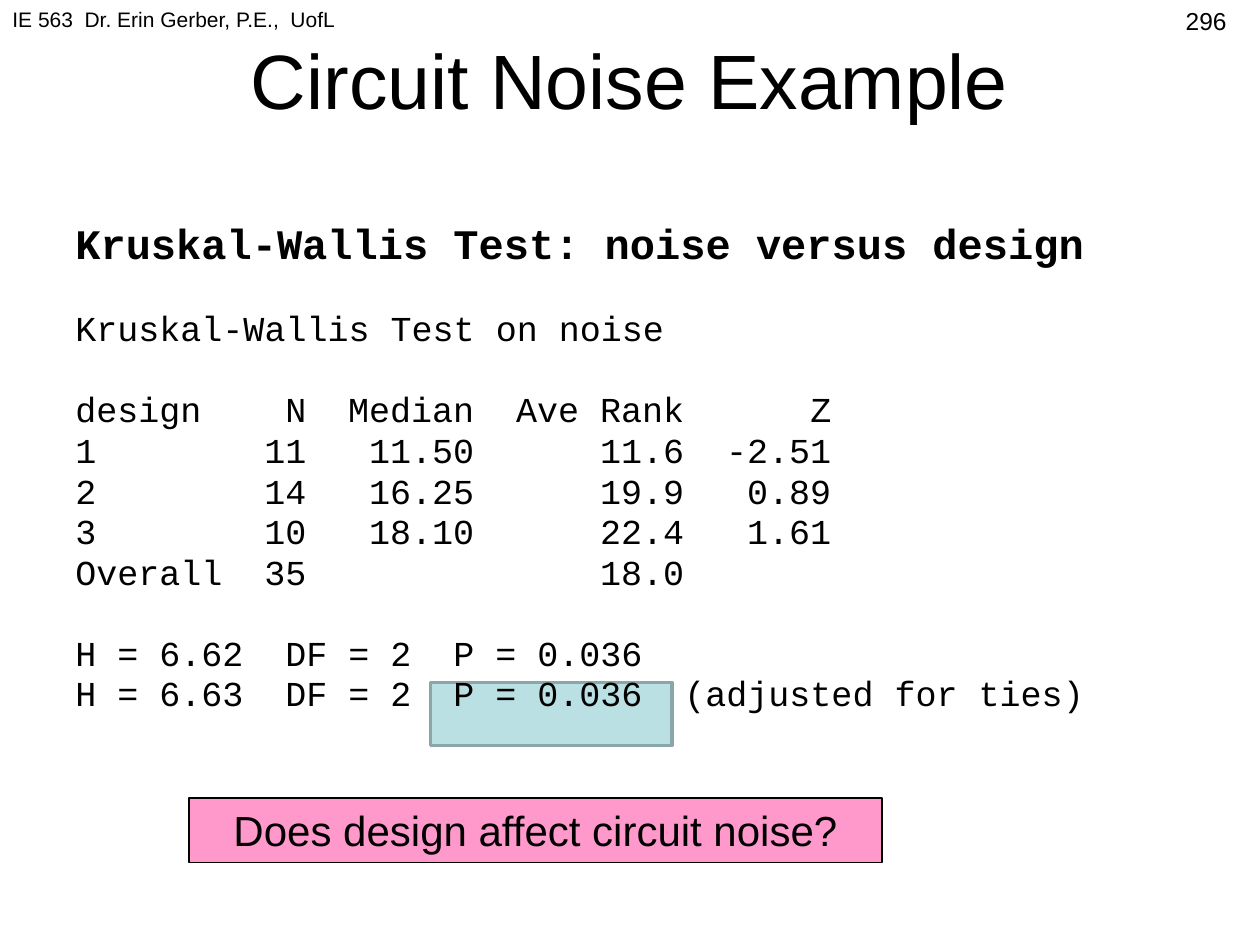
from pptx import Presentation, util as u
from pptx.dml import color
from pptx.enum import shapes, text
from pptx.oxml import ns
from lxml import etree

Pt = u.Pt
MONO = "Courier New"
CHAR = 12  # advance of one 20 pt monospaced letter
GAP = 4
BREAK = 27

# Tab stops as (alignment, character column)
GRID = [("r", 11), ("r", 19), ("r", 29), ("r", 36)]
STATS = [("l", 10), ("l", 18), ("l", 29)]

ROWS = [
    ("design", "N", "Median", "Ave Rank", "Z"),
    ("1", "11", "11.50", "11.6", "-2.51"),
    ("2", "14", "16.25", "19.9", "0.89"),
    ("3", "10", "18.10", "22.4", "1.61"),
    ("Overall", "35", "", "18.0"),
]
TESTS = [
    ("H = 6.62", "DF = 2", "P = 0.036"),
    ("H = 6.63", "DF = 2", "P = 0.036", "(adjusted for ties)"),
]


def rgb(code):
    return color.RGBColor.from_string(code)


class Page:
    font = "Arial"
    ink = "000000"

    def __init__(self, slide):
        self.slide = slide

    def style(self, para, size, font=None, bold=False):
        for run in para.runs:
            run.font.name = font or self.font
            run.font.size = Pt(size)
            run.font.bold = bold
            run.font.color.rgb = rgb(self.ink)

    def label(self, words, x, y, w, h, size, align="LEFT", anchor="TOP"):
        box = self.slide.shapes.add_textbox(Pt(x), Pt(y), Pt(w), Pt(h))
        self.fill(box.text_frame, words, size, align, anchor)

    def fill(self, frame, words, size, align, anchor):
        """Put one styled paragraph in a text frame."""
        frame.word_wrap = True
        frame.vertical_anchor = text.MSO_ANCHOR[anchor]
        frame.text = words
        para = frame.paragraphs[0]
        para.alignment = text.PP_ALIGN[align]
        self.style(para, size)

    def rect(self, x, y, w, h, fill, line, width):
        box = self.slide.shapes.add_shape(
            shapes.MSO_SHAPE.RECTANGLE, Pt(x), Pt(y), Pt(w), Pt(h))
        box.shadow.inherit = False
        box.fill.solid()
        box.fill.fore_color.rgb = rgb(fill)
        box.line.color.rgb = rgb(line)
        box.line.width = Pt(width)
        return box

    def tabs(self, para, stops):
        prop = para._p.get_or_add_pPr()
        group = etree.SubElement(prop, ns.qn("a:tabLst"))
        for align, col in stops:
            etree.SubElement(group, ns.qn("a:tab"),
                             pos=str(Pt(col * CHAR)), algn=align)

    def report(self, lines, x, y, w, h):
        """Add lines given as (words, size, bold, space before, tab stops)."""
        frame = self.slide.shapes.add_textbox(
            Pt(x), Pt(y), Pt(w), Pt(h)).text_frame
        frame.word_wrap = True
        for i, (words, size, bold, space, stops) in enumerate(lines):
            para = frame.add_paragraph() if i else frame.paragraphs[0]
            para.text = words
            para.line_spacing = 0.8
            para.space_before = Pt(space)
            if stops:
                self.tabs(para, stops)
            self.style(para, size, MONO, bold)


def block(rows, stops):
    """Tabbed lines, the first one set off by a wider gap."""
    return [("\t".join(row), 20, False, GAP if i else BREAK, stops)
            for i, row in enumerate(rows)]


def main():
    deck = Presentation()
    deck.slide_width, deck.slide_height = Pt(720), Pt(540)
    page = Page(deck.slides.add_slide(deck.slide_layouts[6]))

    page.rect(246, 390, 138, 36, "BBE0E3", "8AA6A8", 2)
    head = ("Kruskal-Wallis Test: noise versus design", 24, True, 0, None)
    lines = [head, *block([("Kruskal-Wallis Test on noise",)], None),
             *block(ROWS, GRID), *block(TESTS, STATS)]
    page.report(lines, 36, 126.4, 648, 356)

    page.label("IE 563  Dr. Erin Gerber, P.E.,  UofL", 0, 0, 300, 37.5, 12)
    page.label("296", 540, 0, 168, 37.5, 14, "RIGHT")
    page.label("Circuit Noise Example", 36, 0, 648, 90, 44,
               "CENTER", "MIDDLE")

    ask = page.rect(108, 456, 396, 36.75, "FF99CC", "000000", 0.75)
    page.fill(ask.text_frame, "Does design affect circuit noise?", 24,
              "CENTER", "MIDDLE")

    deck.save("out.pptx")


if __name__ == "__main__":
    main()
